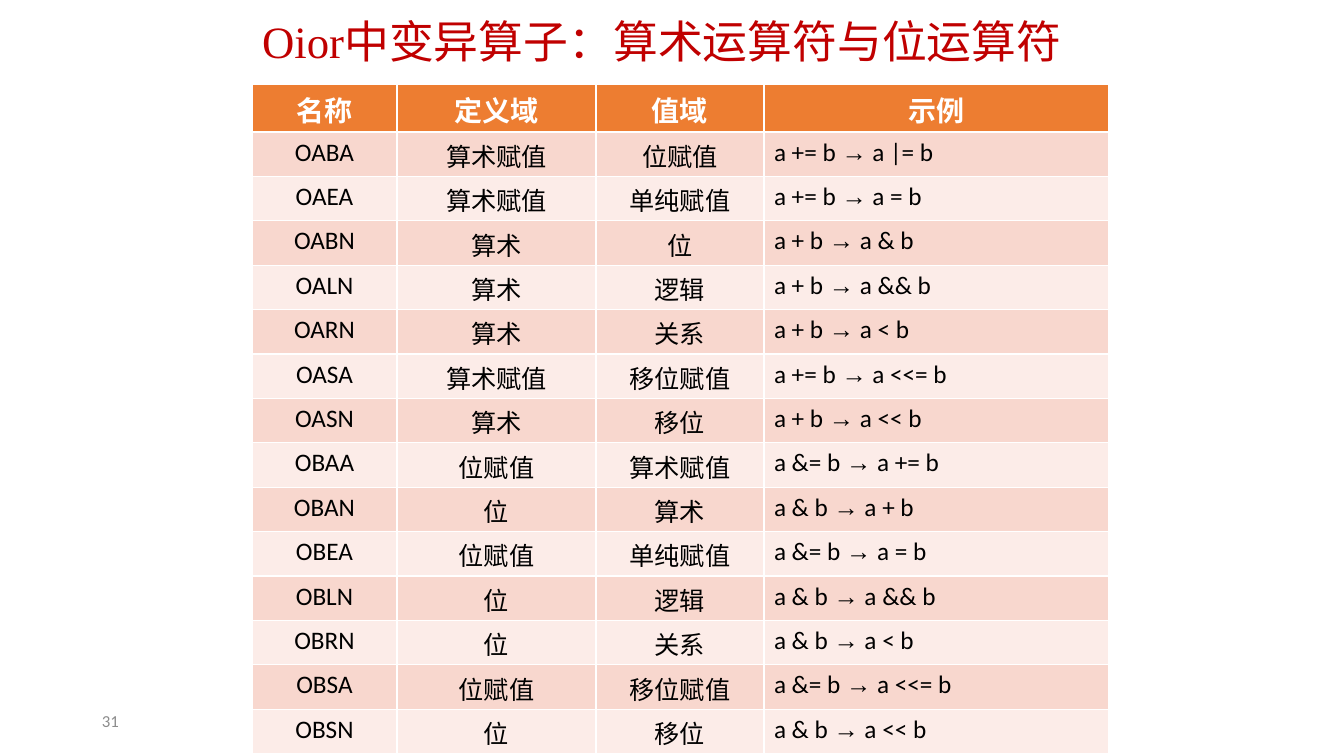
import pptx
import pptx.dml.color
import pptx.enum.text
import pptx.util

EMU_PER_PX = 914400 / 100.8
CENTER = pptx.enum.text.PP_ALIGN.CENTER
LEFT = pptx.enum.text.PP_ALIGN.LEFT
MIDDLE = pptx.enum.text.MSO_ANCHOR.MIDDLE


def px(length):
    return pptx.util.Emu(round(length * EMU_PER_PX))


def color(hex_value):
    return pptx.dml.color.RGBColor.from_string(hex_value)


def write(paragraph, text, size=18, font="Calibri", ink="000000", bold=False,
          align=LEFT, after=None, spacing=None):
    """Write text as runs, with each arrow in the serif font."""
    paragraph.alignment = align
    if after is not None:
        paragraph.space_after = pptx.util.Pt(after)
    if spacing is not None:
        paragraph.line_spacing = spacing
    before, arrow, behind = text.partition("→")
    for part in filter(None, (before, arrow, behind)):
        run = paragraph.add_run()
        run.text = part
        run.font.name = "Times New Roman" if part == "→" else font
        run.font.size = pptx.util.Pt(size)
        run.font.bold = bold
        run.font.color.rgb = color(ink)


class OperatorSlide:
    TITLE_RED, PAGE_GRAY, WHITE = "C00000", "8C8C8C", "FFFFFF"
    HEADER_ORANGE = "ED7D31"
    BANDS = ("F8D7CE", "FCECE8")

    def __init__(self, deck):
        self.slide = deck.slides.add_slide(deck.slide_layouts[5])

    def title(self, text, left, top, width, height):
        heading = self.slide.shapes.title
        heading.left, heading.top = px(left), px(top)
        heading.width, heading.height = px(width), px(height)
        frame = heading.text_frame
        frame.auto_size = pptx.enum.text.MSO_AUTO_SIZE.NONE
        frame.word_wrap = True
        frame.vertical_anchor = MIDDLE
        write(frame.paragraphs[0], text, size=32, font="Times New Roman",
              ink=self.TITLE_RED, spacing=0.9)

    def page_number(self, text, left, top, width, height):
        box = self.slide.shapes.add_textbox(px(left), px(top), px(width), px(height))
        frame = box.text_frame
        frame.word_wrap = True
        frame.vertical_anchor = MIDDLE
        write(frame.paragraphs[0], text, size=12, ink=self.PAGE_GRAY)

    def table(self, rows, left, top, column_widths, height, header_height):
        """The default table style supplies the white rules."""
        grid = self.slide.shapes.add_table(
            len(rows), len(column_widths), px(left), px(top),
            px(sum(column_widths)), px(height)).table
        for column, width in zip(grid.columns, column_widths):
            column.width = px(width)
        body_height = (height - header_height) / (len(rows) - 1)
        for r, texts in enumerate(rows):
            is_header = r == 0
            grid.rows[r].height = px(header_height if is_header else body_height)
            band = self.HEADER_ORANGE if is_header else self.BANDS[(r - 1) % 2]
            for c, text in enumerate(texts):
                cell = grid.cell(r, c)
                cell.fill.solid()
                cell.fill.fore_color.rgb = color(band)
                is_example = not is_header and c == len(texts) - 1
                write(cell.text_frame.paragraphs[0], text,
                      size=20 if is_header else 18, bold=is_header,
                      ink=self.WHITE if is_header else "000000",
                      align=LEFT if is_example else CENTER, after=3)


OPERATORS = [
    ("名称", "定义域", "值域", "示例"),
    ("OABA", "算术赋值", "位赋值", "a += b → a |= b"),
    ("OAEA", "算术赋值", "单纯赋值", "a += b → a = b"),
    ("OABN", "算术", "位", "a + b → a & b"),
    ("OALN", "算术", "逻辑", "a + b → a && b"),
    ("OARN", "算术", "关系", "a + b → a < b"),
    ("OASA", "算术赋值", "移位赋值", "a += b → a <<= b"),
    ("OASN", "算术", "移位", "a + b → a << b"),
    ("OBAA", "位赋值", "算术赋值", "a &= b → a += b"),
    ("OBAN", "位", "算术", "a & b → a + b"),
    ("OBEA", "位赋值", "单纯赋值", "a &= b → a = b"),
    ("OBLN", "位", "逻辑", "a & b → a && b"),
    ("OBRN", "位", "关系", "a & b → a < b"),
    ("OBSA", "位赋值", "移位赋值", "a &= b → a <<= b"),
    ("OBSN", "位", "移位", "a & b → a << b"),
]


def main():
    deck = pptx.Presentation()
    deck.slide_width, deck.slide_height = px(1344), px(756)
    page = OperatorSlide(deck)

    # Title and page number
    page.title("Oior中变异算子：算术运算符与位运算符", 252, 8, 882, 72)
    page.page_number("31", 92, 701, 302, 40)

    # Mutation operators
    page.table(OPERATORS, 252, 84, (145, 199, 168, 345), height=670, header_height=48)

    deck.save("out.pptx")


if __name__ == "__main__":
    main()
